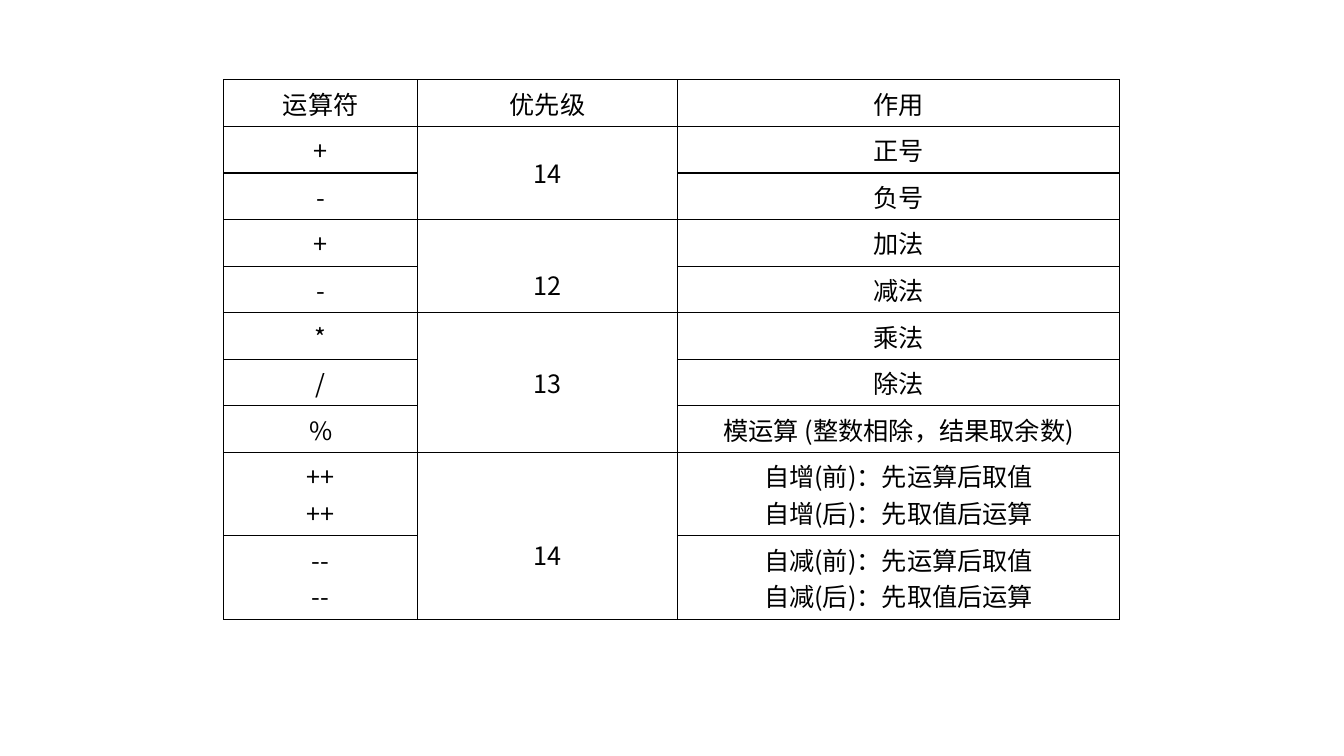
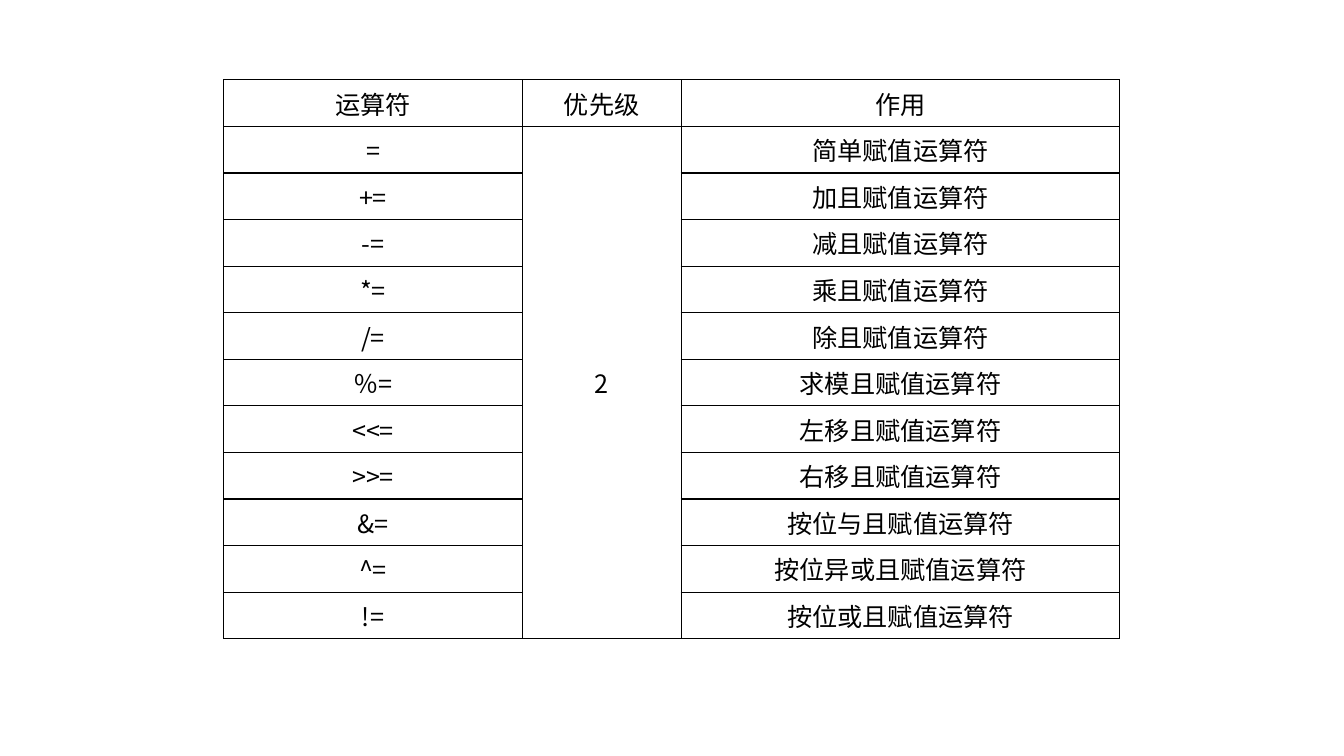
from dataclasses import dataclass

from lxml import etree
from pptx import Presentation
from pptx.dml.color import RGBColor
from pptx.enum.text import MSO_ANCHOR, PP_ALIGN
from pptx.oxml.ns import qn
from pptx.util import Cm, Pt

CENTER = PP_ALIGN.CENTER
MIDDLE = MSO_ANCHOR.MIDDLE


@dataclass(frozen=True)
class Theme:
    """Colours, type and lines shared by the slides."""
    ink: str = "000000"
    font: str = "Noto Sans CJK SC"
    size: int = 18
    line: int = 1
    row: float = 1.17
    text_line: float = 0.93


THEME = Theme()
TABLE_LEFT, TABLE_TOP = 5.64, 2.01
HEADER = ("运算符", "优先级", "作用")

# Each group: priority, whether it sits half a line lower, (operator, effect) rows
ARITHMETIC = [
    ("14", False, [("+", "正号"), ("-", "负号")]),
    ("12", True, [("+", "加法"), ("-", "减法")]),
    ("13", False, [("*", "乘法"), ("/", "除法"),
                   ("%", "模运算 (整数相除，结果取余数)")]),
    ("14", True, [
        ("++\n++", "自增(前)：先运算后取值\n自增(后)：先取值后运算"),
        ("--\n--", "自减(前)：先运算后取值\n自减(后)：先取值后运算")]),
]
ASSIGNMENT = [
    ("2", False, [
        ("=", "简单赋值运算符"), ("+=", "加且赋值运算符"),
        ("-=", "减且赋值运算符"), ("*=", "乘且赋值运算符"),
        ("/=", "除且赋值运算符"), ("％=", "求模且赋值运算符"),
        ("<<=", "左移且赋值运算符"), (">>=", "右移且赋值运算符"),
        ("&=", "按位与且赋值运算符"), ("^=", "按位异或且赋值运算符"),
        ("!=", "按位或且赋值运算符")]),
]


def write(tf, text, size=THEME.size, color=THEME.ink, font=THEME.font, align=CENTER):
    """Write one paragraph per line of text."""
    for i, line in enumerate(text.split("\n")):
        p = tf.paragraphs[0] if i == 0 else tf.add_paragraph()
        p.alignment = align
        r = p.add_run()
        r.text = line
        r.font.size = Pt(size)
        r.font.color.rgb = RGBColor.from_string(color)
        r.font.name = font
        etree.SubElement(r.font._element, qn("a:ea"), typeface=font)


def style_cell(cell):
    """Give a cell a thin border on every side, no fill and centred text."""
    tc_pr = cell._tc.get_or_add_tcPr()
    for side in ("lnL", "lnR", "lnT", "lnB"):
        ln = etree.SubElement(tc_pr, qn(f"a:{side}"), w=str(Pt(THEME.line)))
        fill = etree.SubElement(ln, qn("a:solidFill"))
        etree.SubElement(fill, qn("a:srgbClr"), val=THEME.ink)
    cell.fill.background()
    cell.vertical_anchor = MIDDLE


def add_operator_table(slide, left, top, widths, groups):
    """Place a table of operators, with one merged priority cell per group."""
    pairs = [pair for _, _, members in groups for pair in members]
    heights = [THEME.row] + [THEME.row + THEME.text_line * op.count("\n")
                             for op, _ in pairs]
    table = slide.shapes.add_table(len(heights), len(widths), Cm(left), Cm(top),
                                   Cm(sum(widths)), Cm(sum(heights))).table
    table.first_row = table.horz_banding = False
    for column, width in zip(table.columns, widths):
        column.width = Cm(width)
    for row, height in zip(table.rows, heights):
        row.height = Cm(height)
    for cell in table.iter_cells():
        style_cell(cell)

    for col, title in enumerate(HEADER):
        write(table.cell(0, col).text_frame, title)
    for row, (operator, effect) in enumerate(pairs, start=1):
        write(table.cell(row, 0).text_frame, operator)
        write(table.cell(row, 2).text_frame, effect)

    first = 1
    for priority, lowered, members in groups:
        cell = table.cell(first, 1)
        if len(members) > 1:
            cell.merge(table.cell(first + len(members) - 1, 1))
        if lowered:
            cell.margin_top += Cm(THEME.text_line)
        write(cell.text_frame, priority)
        first += len(members)


def main():
    """Build the two operator slides."""
    prs = Presentation()
    prs.slide_width, prs.slide_height = Cm(33.87), Cm(19.05)
    blank = prs.slide_layouts[6]
    for widths, groups in (((4.88, 6.55, 11.15), ARITHMETIC),
                           ((7.52, 4.01, 11.05), ASSIGNMENT)):
        slide = prs.slides.add_slide(blank)
        add_operator_table(slide, TABLE_LEFT, TABLE_TOP, widths, groups)
    prs.save("out.pptx")


main()
